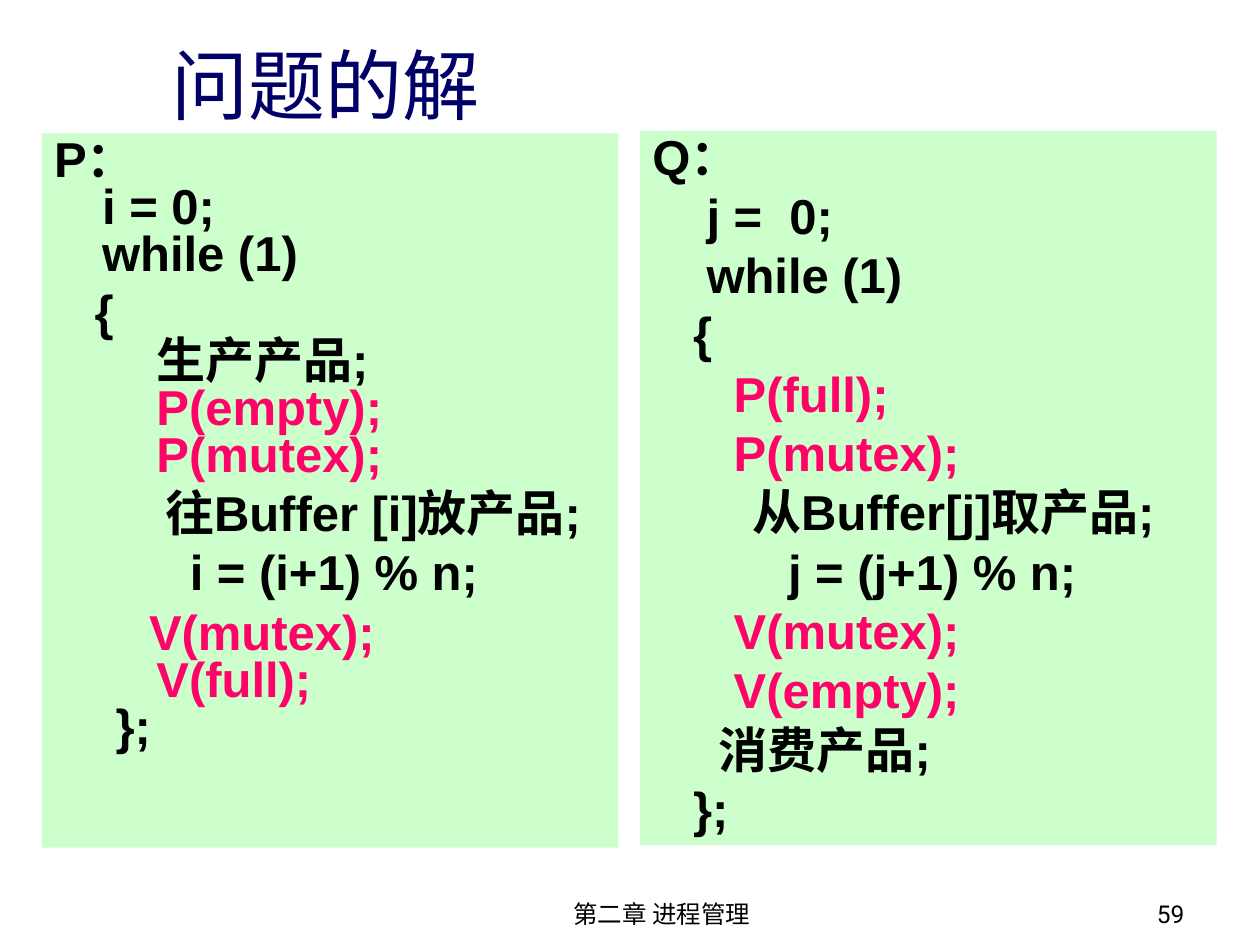
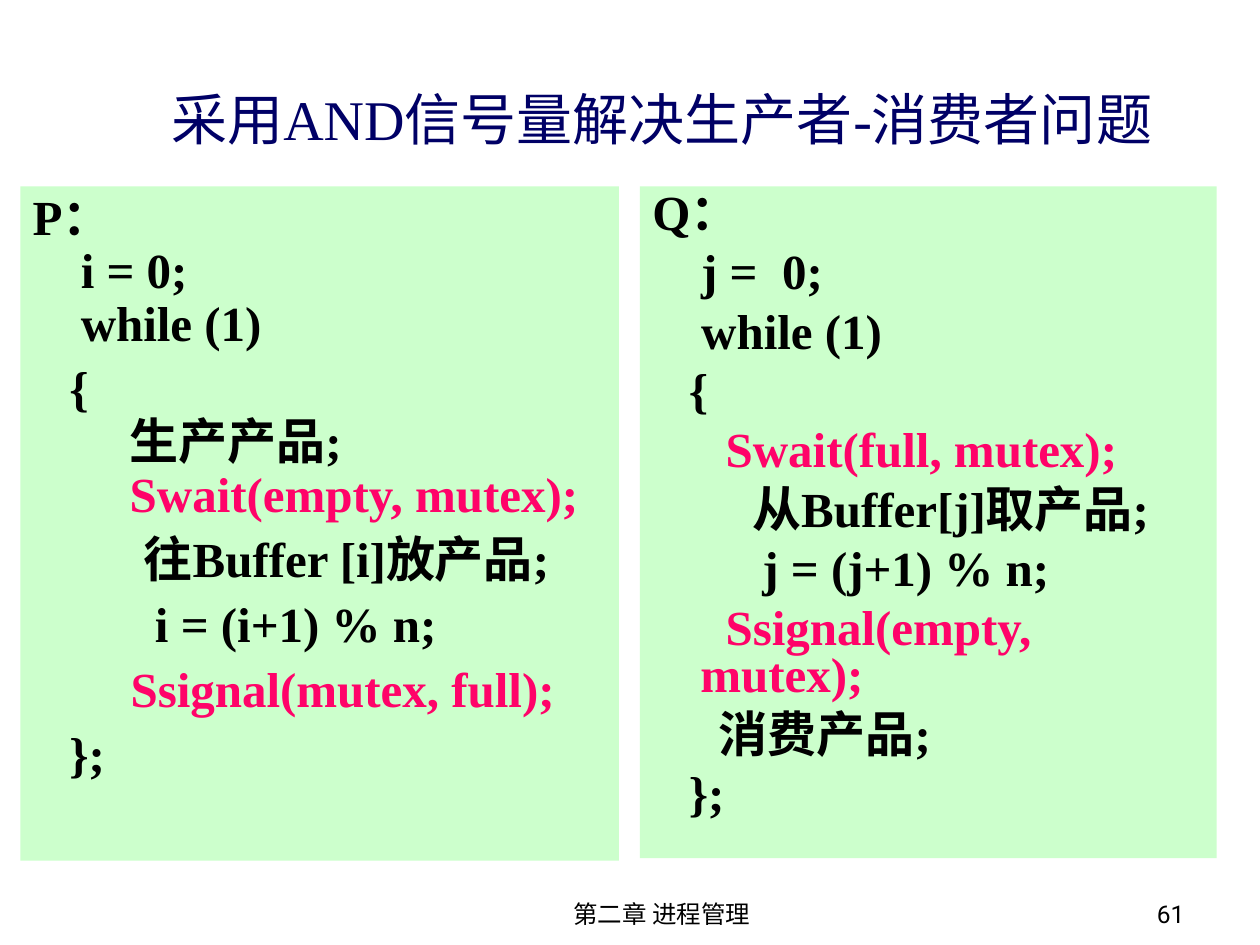
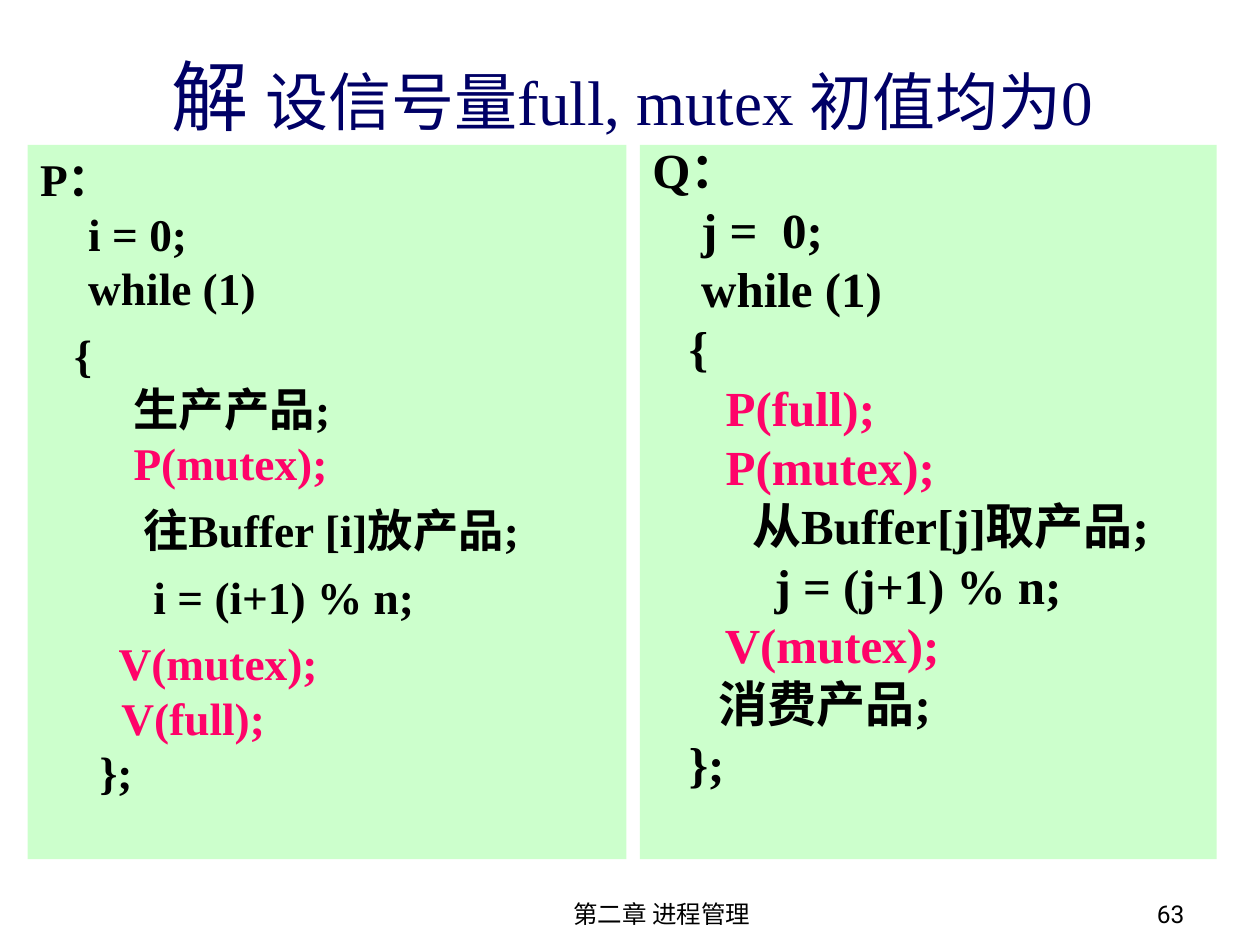
import pptx
import pptx.dml.color
import pptx.enum.shapes
import pptx.enum.text
import pptx.util

Cm, Pt = pptx.util.Cm, pptx.util.Pt
ALIGN = pptx.enum.text.PP_ALIGN
ANCHOR = pptx.enum.text.MSO_ANCHOR

# Shared look
NAVY, BLACK, PINK, MINT = "000066", "000000", "FF0369", "CCFFCC"
SERIF, SANS, FOOTER_FONT = "Times New Roman", "Arial", "Roboto"
CHAPTER = "第二章 进程管理"
SEMAPHORE_CALLS = ("P(", "V(", "Swait", "Ssignal")
HANGING = Cm(0.97)
CHAPTER_BOX = (9.32, 17.58, 8.05, 1.27)
NUMBER_BOX = (18.85, 17.58, 5.28, 1.27)


def colour(value):
    return pptx.dml.color.RGBColor.from_string(value)


def write(para, text, size=28, font=SERIF, color=BLACK, bold=False):
    span = para.add_run()
    span.text = text
    span.font.size = Pt(size)
    span.font.name = font
    span.font.bold = bold
    span.font.color.rgb = colour(color)


def set_frame(frame, anchor):
    frame.word_wrap = True
    frame.auto_size = pptx.enum.text.MSO_AUTO_SIZE.NONE
    frame.vertical_anchor = anchor
    frame.margin_left = frame.margin_right = Cm(0.25)
    frame.margin_top = frame.margin_bottom = Cm(0.13)


def add_title(page, box, spans):
    title = page.shapes.title
    title.left, title.top, title.width, title.height = map(Cm, box)
    set_frame(title.text_frame, ANCHOR.BOTTOM)
    para = title.text_frame.paragraphs[0]
    para.alignment = ALIGN.LEFT
    for text, size in spans:
        write(para, text, size=size, color=NAVY)


def add_footer(page, number):
    for box, text, align in ((CHAPTER_BOX, CHAPTER, ALIGN.CENTER),
                             (NUMBER_BOX, str(number), ALIGN.RIGHT)):
        frame = page.shapes.add_textbox(*map(Cm, box)).text_frame
        set_frame(frame, ANCHOR.BOTTOM)
        frame.paragraphs[0].alignment = align
        write(frame.paragraphs[0], text, size=14, font=FOOTER_FONT)


def add_code_panel(page, box, code, spacing=0.8, **text_format):
    """Each item of code is a paragraph; its newlines are line breaks."""
    panel = page.shapes.add_shape(
        pptx.enum.shapes.MSO_SHAPE.RECTANGLE, *map(Cm, box))
    panel.shadow.inherit = False
    panel.fill.solid()
    panel.fill.fore_color.rgb = colour(MINT)
    panel.line.fill.background()
    frame = panel.text_frame
    set_frame(frame, ANCHOR.TOP)
    for index, block in enumerate(code):
        para = frame.add_paragraph() if index else frame.paragraphs[0]
        para.alignment = ALIGN.LEFT
        para.line_spacing = spacing
        para.space_before = Pt(7 if index else 0)
        properties = para._p.get_or_add_pPr()
        properties.set("marL", str(HANGING))
        properties.set("indent", str(-HANGING))
        for row, line in enumerate(block.split("\n")):
            if row:
                para.add_line_break()
            is_call = line.strip().startswith(SEMAPHORE_CALLS)
            write(para, line, color=PINK if is_call else BLACK, bold=True,
                  **text_format)


# Code of the two processes
def producer_code(waits, ending):
    opening = ["   {", "    生产产品;"] + ["    " + call for call in waits]
    return ["P：\ni = 0;\nwhile (1)", "\n".join(opening),
            "          往Buffer [i]放产品;", "          i = (i+1) % n;"] + ending


def consumer_code(waits, signals, step="          j = (j+1) % n;"):
    calls = [["      " + call for call in group] for group in (waits, signals)]
    return (["Q：", "    j =  0;", "    while (1)", "   {"] + calls[0]
            + ["         从Buffer[j]取产品;", step] + calls[1]
            + ["      消费产品;", "   };"])


def add_solution(deck, number, title_box, title, consumer_box, consumer,
                 producer_box, producer, font=SERIF, producer_format=None):
    page = deck.slides.add_slide(deck.slide_layouts[5])
    add_title(page, title_box, title)
    add_code_panel(page, consumer_box, consumer, font=font)
    add_code_panel(page, producer_box, producer, font=font,
                   **(producer_format or {}))
    add_footer(page, number)


def main():
    deck = pptx.Presentation()
    deck.slide_width, deck.slide_height = Cm(25.4), Cm(19.05)

    # Bounded buffer with empty, full and mutex
    add_solution(
        deck, 59, (3.2, 1.7, 21.64, 1.04), [("问题的解", 44)],
        (12.9, 2.64, 11.63, 14.4),
        consumer_code(["P(full);", "P(mutex);"], ["V(mutex);", "V(empty);"]),
        (0.84, 2.69, 11.63, 14.4),
        producer_code(["P(empty);", "P(mutex);"],
                      ["       V(mutex);\n    V(full);\n };"]),
        font=SANS)

    # AND semaphores
    add_solution(
        deck, 61, (3.2, 1.73, 21.64, 1.45),
        [("采用AND信号量解决生产者-消费者问题", 32)],
        (12.9, 3.76, 11.63, 13.54),
        consumer_code(["Swait(full, mutex);"], ["Ssignal(empty, mutex);"],
                      step="         j = (j+1) % n;"),
        (0.41, 3.76, 12.07, 13.59),
        producer_code(["Swait(empty, mutex);"],
                      ["        Ssignal(mutex, full);", "   };"]),
        producer_format={"spacing": 0.9})

    # Unbounded buffer with full and mutex
    add_solution(
        deck, 63, (3.2, 0.64, 21.13, 2.34),
        [("解 ", 44), ("设信号量full, mutex 初值均为0", 36)],
        (12.9, 2.92, 11.63, 14.4),
        consumer_code(["P(full);", "P(mutex);"], ["V(mutex);"]),
        (0.56, 2.92, 12.07, 14.4),
        producer_code(["P(mutex);"],
                      ["       V(mutex);\n   V(full);\n };"]),
        producer_format={"spacing": 1.0, "size": 25.9})

    deck.save("out.pptx")


if __name__ == "__main__":
    main()
